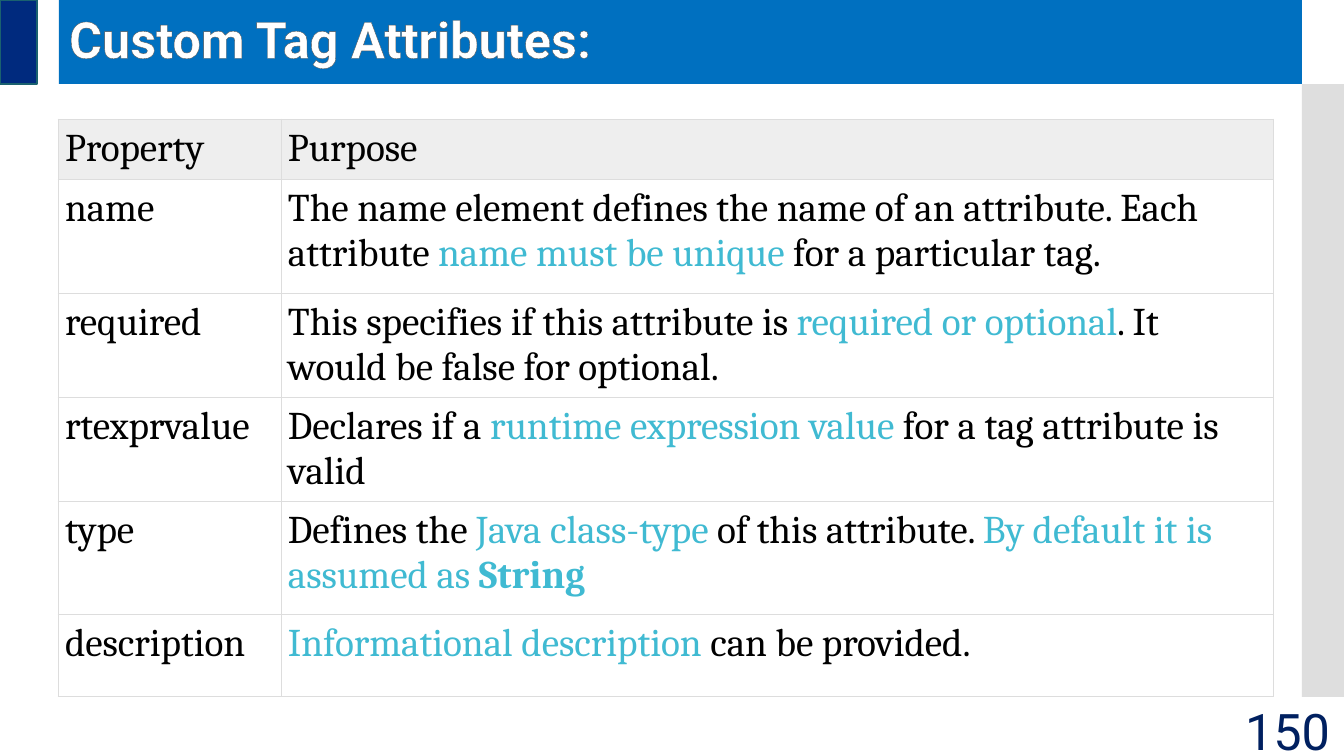
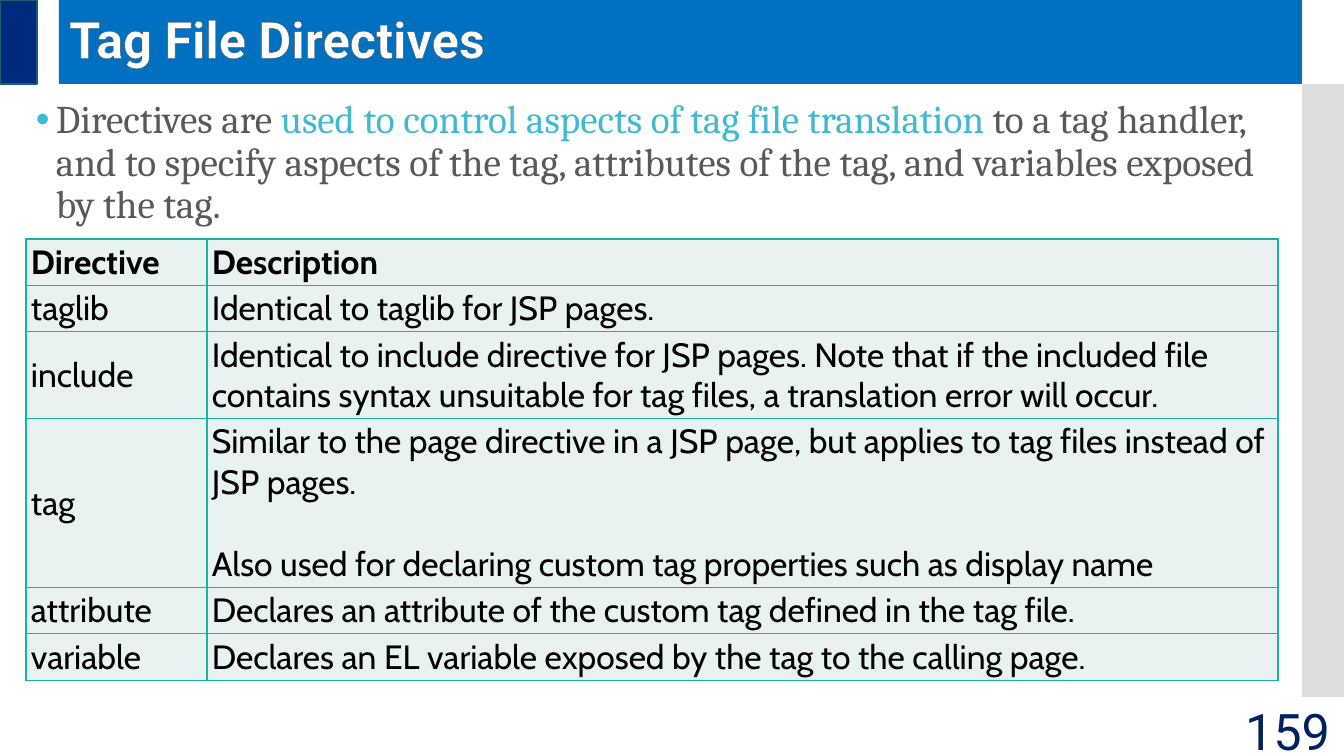
from lxml.etree import SubElement
from pptx import Presentation
from pptx.dml.color import RGBColor
from pptx.enum.shapes import MSO_SHAPE
from pptx.enum.text import MSO_ANCHOR, MSO_AUTO_SIZE, PP_ALIGN
from pptx.oxml import parse_xml
from pptx.oxml.ns import nsdecls, qn
from pptx.util import Pt

PX = 914400 / 100.8
SLIDE_WIDTH, SLIDE_HEIGHT = 1344, 756

BLUE, NAVY, TEAL_EDGE, SILVER = "0070C0", "002A7E", "1A616F", "BFBFBF"
ACCENT, BLACK, GRAY, WHITE = "40BAD2", "000000", "595959", "FFFFFF"

TITLE_BOX = (59, 0, 1243, 84)
NUMBER_BOX = (1172, 710, 168, 40)
BANDS = [
    dict(box=TITLE_BOX, fill=BLUE),
    dict(box=(1302, 84, 42, 613), fill=SILVER, opacity=50),
    dict(box=(0, 0, 37, 84), fill=NAVY, edge=TEAL_EDGE),
]
TITLE = dict(size=36, font="Roboto", color=WHITE, bold=True)
NUMBER = dict(size=36, font="Roboto", color="002060")
BODY = dict(size=28, font="Cambria", color=GRAY)

# Text is a list of paragraphs; a paragraph is a string or a list of spans,
# and a span is a string or a (string, format) pair.
KEY = dict(color=ACCENT)
KEY_BOLD = dict(color=ACCENT, bold=True)

ATTRIBUTES = dict(
    left=58, top=119, columns=[223, 992], rows=[60, 114, 104, 104, 113, 82],
    text=dict(size=28, font="Cambria", color=BLACK), anchor=MSO_ANCHOR.TOP,
    margins=(7, 7), border=("DDDDDD", 0.75), header_fill="EEEEEE", fill=None,
    header_bold=False,
    cells=[
        ("Property", ["Purpose"]),
        ("name", [["The name element defines the name of an attribute. Each attribute ",
                   ("name must be unique ", KEY), "for a particular tag."]]),
        ("required", [["This specifies if this attribute is ",
                       ("required or optional", KEY), ". It would be false for optional."]]),
        ("rtexprvalue", [["Declares if a ", ("runtime expression value ", KEY),
                          "for a tag attribute is valid"]]),
        ("type", [["Defines the ", ("Java class-type ", KEY), "of this attribute. ",
                   ("By default it is assumed as ", KEY), ("String", KEY_BOLD)]]),
        ("description", [[("Informational description ", KEY), "can be provided."]]),
    ],
)
DIRECTIVES = dict(
    left=26, top=239, columns=[181, 1071], rows=[46, 46, 87, 169, 46, 46],
    text=dict(size=24, font="Cabin", color=BLACK), anchor=MSO_ANCHOR.MIDDLE,
    margins=(5, 3), border=("1AB39F", 1), header_fill="E8F2F0", fill="E8F2F0",
    header_bold=True,
    cells=[
        ("Directive", ["Description"]),
        ("taglib", ["Identical to taglib for JSP pages."]),
        ("include", ["Identical to include directive for JSP pages. Note that if the included "
                     "file contains syntax unsuitable for tag files, a translation error "
                     "will occur."]),
        ("tag", ["Similar to the page directive in a JSP page, but applies to tag files "
                 "instead of JSP pages.",
                 "Also used for declaring custom tag properties such as display name"]),
        ("attribute", ["Declares an attribute of the custom tag defined in the tag file."]),
        ("variable", ["Declares an EL variable exposed by the tag to the calling page."]),
    ],
)
DIRECTIVES_INTRO = dict(
    box=(26, 95, 1263, 140),
    spans=["Directives are ", ("used to control aspects of tag file translation ", KEY),
           "to a tag handler, and to specify aspects of the tag, attributes of the tag, "
           "and variables exposed by the tag."],
)
PAGES = [
    dict(title="Custom Tag Attributes:", number="150", table=ATTRIBUTES),
    dict(title="Tag File Directives", number="159", table=DIRECTIVES, intro=DIRECTIVES_INTRO),
]


def px(length):
    return round(length * PX)


def rgb(color):
    return RGBColor.from_string(color)


def place(shape, box):
    shape.left, shape.top, shape.width, shape.height = map(px, box)


def write(frame, paragraphs, size, font, color, bold=False, align=PP_ALIGN.LEFT,
          spacing=None, gap=0, anchor=None):
    """Fill a text frame; gap is the space in points between paragraphs."""
    frame.word_wrap = True
    if anchor is not None:
        frame.vertical_anchor = anchor
    for index, spans in enumerate(paragraphs):
        para = frame.add_paragraph() if index else frame.paragraphs[0]
        para.alignment = align
        if spacing:
            para.line_spacing = spacing
        if index and gap:
            para.space_before = Pt(gap)
        for part in [spans] if isinstance(spans, str) else spans:
            text, changes = (part, {}) if isinstance(part, str) else part
            span = para.add_run()
            span.text = text
            span.font.size, span.font.name = Pt(size), font
            span.font.bold = changes.get("bold", bold)
            span.font.color.rgb = rgb(changes.get("color", color))


def line_xml(tag, color, width):
    return parse_xml(
        f'<a:{tag} {nsdecls("a")} w="{Pt(width)}"><a:solidFill>'
        f'<a:srgbClr val="{color}"/></a:solidFill></a:{tag}>')


def add_band(page, box, fill, opacity=None, edge=None):
    band = page.shapes.add_shape(MSO_SHAPE.RECTANGLE, *map(px, box))
    band.shadow.inherit = False
    band.fill.solid()
    band.fill.fore_color.rgb = rgb(fill)
    if opacity:
        color = band.element.spPr.find(qn("a:solidFill")).find(qn("a:srgbClr"))
        SubElement(color, qn("a:alpha"), val=str(opacity * 1000))
    if edge:
        band.line.color.rgb = rgb(edge)
        band.line.width = Pt(0.85)
    else:
        band.line.fill.background()
    return band


def move_bands_to_layout(page, layout):
    """Shapes can only be created on a slide, so build the bands there and move them."""
    for index, band in enumerate(BANDS):
        element = add_band(page, **band).element
        element.nvSpPr.cNvPr.id = 20 + index
        layout.shapes.element.insert(2 + index, element)


def add_title(page, text):
    frame = page.shapes.title.text_frame
    frame.auto_size = MSO_AUTO_SIZE.NONE
    write(frame, [text], **TITLE, spacing=0.9, anchor=MSO_ANCHOR.MIDDLE)
    properties = frame.paragraphs[0].runs[0].font
    properties.fill.solid()
    properties.color.rgb = rgb(WHITE)
    run = frame.paragraphs[0].runs[0]
    run.font.language_id = None
    run_properties = frame.paragraphs[0].runs[0]._r.get_or_add_rPr()
    run_properties.insert(0, line_xml("ln", "545454", 1))


def add_intro(page, box, spans):
    frame = page.shapes.add_textbox(*map(px, box)).text_frame
    properties = frame.paragraphs[0]._p.get_or_add_pPr()
    properties.set("marL", str(px(20)))
    properties.set("indent", str(-px(20)))
    color = SubElement(properties, qn("a:buClr"))
    SubElement(color, qn("a:srgbClr"), val=ACCENT)
    SubElement(properties, qn("a:buFont"), typeface="Arial")
    SubElement(properties, qn("a:buChar"), char="•")
    write(frame, [spans], **BODY, spacing=0.9)


def add_table(page, left, top, columns, rows, text, anchor, margins, border,
              header_fill, fill, header_bold, cells):
    table = page.shapes.add_table(
        len(rows), len(columns), *map(px, (left, top, sum(columns), sum(rows)))).table
    table.first_row = table.horz_banding = False
    for column, width in zip(table.columns, columns):
        column.width = px(width)
    for row, height in zip(table.rows, rows):
        row.height = px(height)
    for row_index, (name, paragraphs) in enumerate(cells):
        is_header = row_index == 0
        for column_index, content in enumerate(([name], paragraphs)):
            cell = table.cell(row_index, column_index)
            cell.margin_left = cell.margin_right = px(margins[0])
            cell.margin_top = cell.margin_bottom = px(margins[1])
            cell.vertical_anchor = anchor
            color = header_fill if is_header else fill
            if color:
                cell.fill.solid()
                cell.fill.fore_color.rgb = rgb(color)
            else:
                cell.fill.background()
            properties = cell._tc.get_or_add_tcPr()
            for index, tag in enumerate(("lnL", "lnR", "lnT", "lnB")):
                properties.insert(index, line_xml(tag, *border))
            write(cell.text_frame, content, **text, bold=is_header and header_bold, gap=29)


def main():
    deck = Presentation()
    deck.slide_width, deck.slide_height = px(SLIDE_WIDTH), px(SLIDE_HEIGHT)
    layout = deck.slide_layouts.get_by_name("Title Only")
    place(layout.placeholders[0], TITLE_BOX)
    for index, content in enumerate(PAGES):
        page = deck.slides.add_slide(layout)
        if index == 0:
            move_bands_to_layout(page, layout)
        place(page.shapes.title, TITLE_BOX)
        add_title(page, content["title"])
        if "intro" in content:
            add_intro(page, **content["intro"])
        add_table(page, **content["table"])
        number = page.shapes.add_textbox(*map(px, NUMBER_BOX))
        write(number.text_frame, [content["number"]], **NUMBER,
              align=PP_ALIGN.RIGHT, anchor=MSO_ANCHOR.MIDDLE)
    deck.save("out.pptx")


if __name__ == "__main__":
    main()
